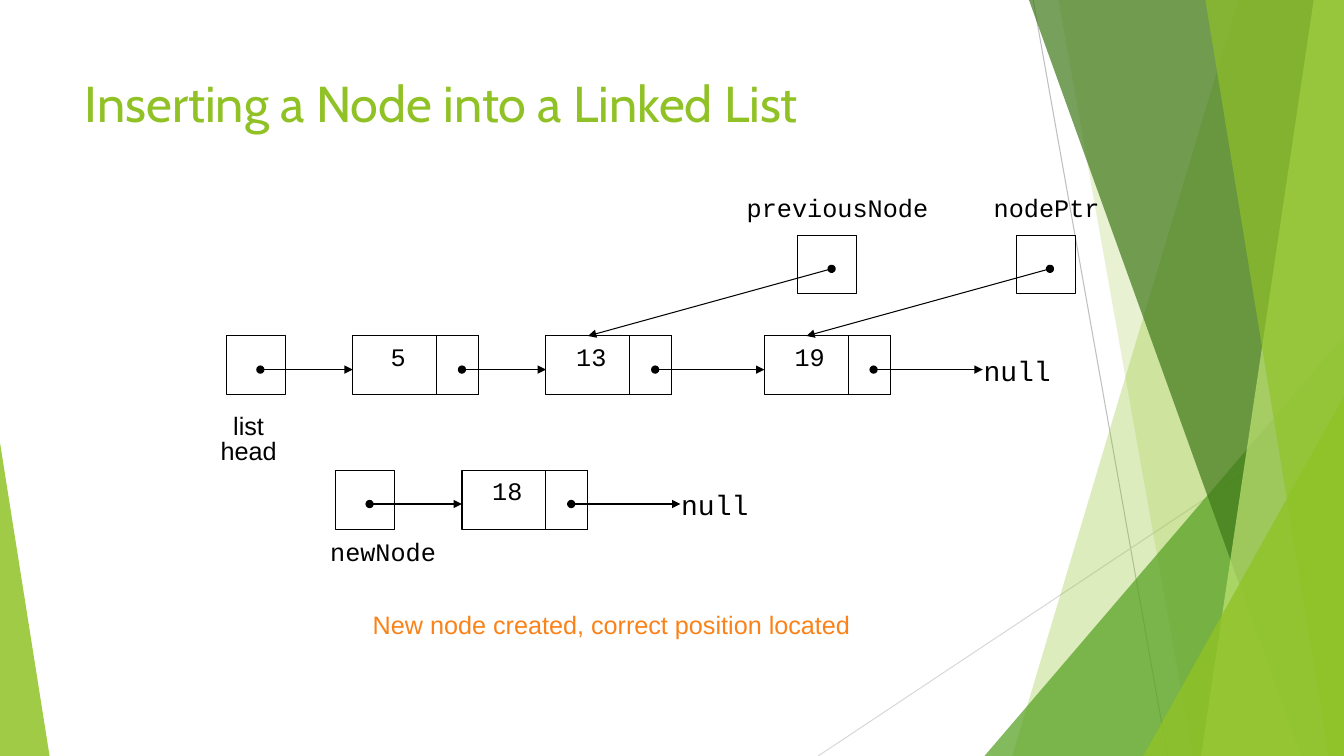
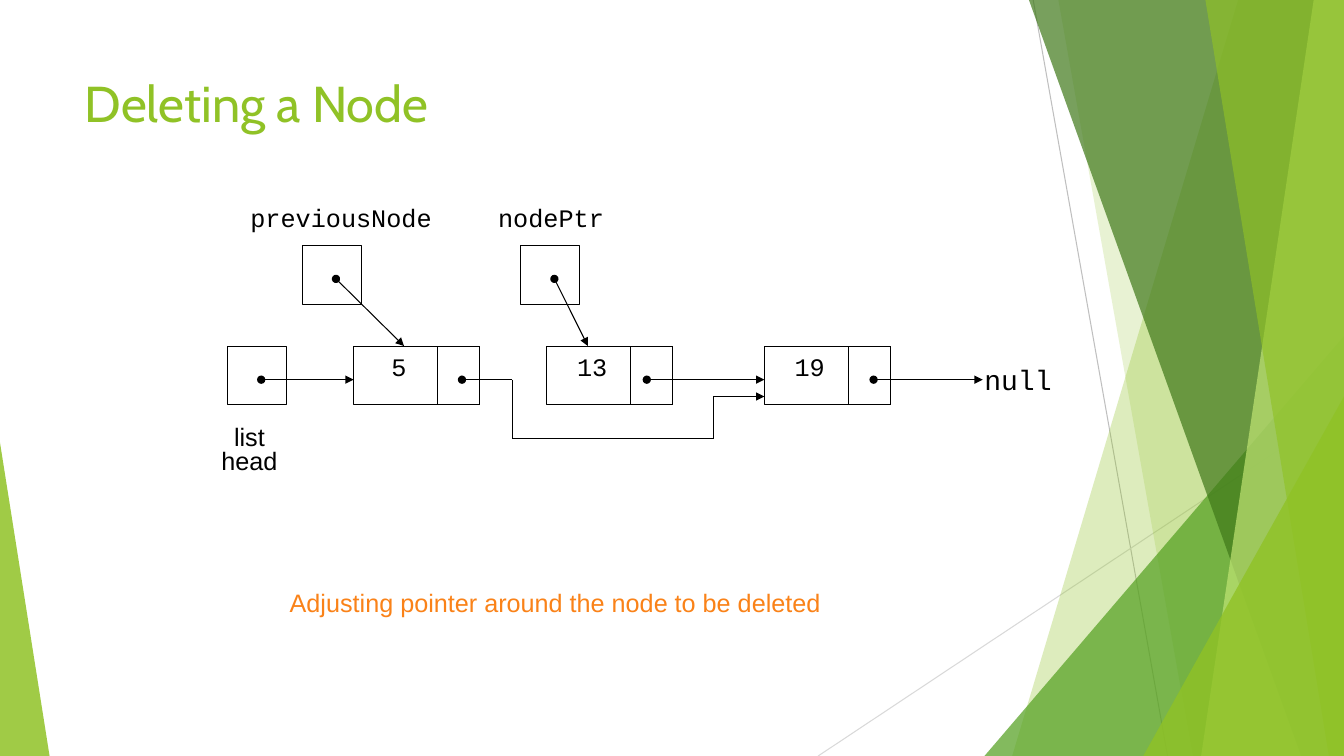
"""Build two linked-list slides on a grid of 160 columns by 90 rows."""
from lxml import etree
from pptx import Presentation
from pptx.dml.color import RGBColor
from pptx.enum.shapes import MSO_CONNECTOR, MSO_SHAPE
from pptx.enum.text import MSO_ANCHOR, MSO_AUTO_SIZE, PP_ALIGN
from pptx.oxml.ns import qn
from pptx.util import Pt

RECT, WEDGE = MSO_SHAPE.RECTANGLE, MSO_SHAPE.ISOSCELES_TRIANGLE
LINE = MSO_CONNECTOR.STRAIGHT
LEFT, MID = PP_ALIGN.LEFT, PP_ALIGN.CENTER
TOP, FIXED = MSO_ANCHOR.TOP, MSO_AUTO_SIZE.NONE
CELL, COLS, ROWS = 76200, 160, 90
LIME, LEAF, PINE, MINT = "90C226", "54A021", "3F7819", "C0E474"
BLACK, AMBER = "000000", "FA8218"
BOTH = ("oval", "triangle")
hue = RGBColor.from_string


def grid(*cells):
    """Turn grid cells into whole slide units."""
    return [round(cell * CELL) for cell in cells]


def link(slide, ends, color=BLACK, head=None, tail=None):
    """Draw a line with optional end marks."""
    line = slide.shapes.add_connector(LINE, *grid(*ends))
    line.line.color.rgb = hue(color)
    line.line.width = Pt(0.75)
    prop = line.element.spPr
    for tag, kind in (("a:headEnd", head), ("a:tailEnd", tail)):
        if kind:
            etree.SubElement(prop.find(qn("a:ln")), qn(tag), type=kind)
    etree.SubElement(prop, qn("a:effectLst"))


deck = Presentation()
deck.slide_width, deck.slide_height = grid(COLS, ROWS)
plan = deck.slide_layouts[5]
for hold in list(plan.placeholders):
    if hold.placeholder_format.idx:
        hold.element.getparent().remove(hold.element)
    else:
        hold.left, hold.top, hold.width, hold.height = grid(8.9, 8, 112.8, 17.3)

first = deck.slides.add_slide(plan)
link(first, (123, 0, 139, ROWS), "BFBFBF")
link(first, (COLS, 48.4, 97.4, ROWS), "D9D9D9")
BANDS = [
    ("strip", (147.4, 120.5), LIME, 30),
    ("strip", (126, 142), LIME, 20),
    ("wedge", (117.2, 40, 42.8, 1), LEAF, 72),
    ("strip", (122.5, 154.9), PINE, 70),
    ("strip", (156.4, 143), MINT, 70),
    ("strip", (143.5, 158.2), LIME, 65),
    ("wedge", (136.1, 47.2, 23.9, 1), LIME, 80),
    ("wedge", (0, 52.7, 5.9, 0), LIME, 85),
]
for kind, size, color, alpha in BANDS:
    if kind == "strip":
        top, base = size
        path = first.shapes.build_freeform(*grid(top, 0), scale=1.0)
        corners = ((COLS, 0), (COLS, ROWS), (base, ROWS))
        path.add_line_segments([grid(*spot) for spot in corners], close=True)
        band = path.convert_to_shape()
    else:
        x, y, wide, peak = size
        band = first.shapes.add_shape(WEDGE, *grid(x, y, wide, ROWS - y))
        band.adjustments[0] = peak
    band.shadow.inherit = False
    band.fill.solid()
    band.fill.fore_color.rgb = hue(color)
    band.line.fill.background()
    tint = band.element.spPr.find(".//" + qn("a:srgbClr"))
    etree.SubElement(tint, qn("a:alpha"), val=str(alpha * 1000))
for part in list(first.shapes):
    if not part.is_placeholder:
        plan.shapes.element.append(part.element)

STYLES = {
    "data": dict(font="Courier New", size=18, color=BLACK, gap=1, high=4.8),
    "name": dict(font="Courier New", size=18, color=BLACK, gap=0.8, high=4.3),
    "null": dict(font="Courier New", size=20, color=BLACK, gap=1.2, high=6),
    "head": dict(font="Arial", size=18, color=BLACK, gap=0.8, high=7.1, wide=9.1),
    "made": dict(font="Arial", size=18, color=AMBER, gap=1, high=4.8, wide=59.8),
    "skip": dict(font="Arial", size=18, color=AMBER, gap=0.8, high=4.1, wide=66.2),
}
PAGES = [
    dict(
        title="Inserting a Node into a Linked List", row=40,
        nodes=[("5", 42, 0), ("13", 65, 0), ("19", 91, 0), ("18", 55, 16)],
        boxes=[(27, 0, 42, 4), (40, 16, 55, 20), (95, -12, 70, 0), (121, -12, 96, 0)],
        arrows=[(55, 4, 65), (78, 4, 91), (104, 4, 117), (68, 20, 81)],
        bend=[],
        notes=[
            ("null", "null", 121.1, 0.7), ("null", "null", 85.1, 16.7),
            ("list\nhead", "head", 29.6, 9), ("newNode", "name", 45.6, 24),
            ("previousNode", "name", 99.7, -17), ("nodePtr", "name", 124.6, -17),
            ("New node created, correct position located", "made", 72.8, 32),
        ],
    ),
    dict(
        title="Deleting a Node", row=41.2,
        nodes=[("5", 42.1, 0), ("13", 65.1, 0), ("19", 91, 0)],
        boxes=[(27.1, 0, 42.1, 4), (36, -12, 48.1, 0), (62, -12, 70, 0)],
        arrows=[(77, 4, 91), (104, 4, 117)],
        bend=[(55, 4), (61, 4), (61, 11), (85, 11), (85, 6), (91, 6)],
        notes=[
            ("null", "null", 121.2, 0.6), ("list\nhead", "head", 29.7, 9),
            ("previousNode", "name", 40.6, -17), ("nodePtr", "name", 65.6, -17),
            ("Adjusting pointer around the node to be deleted", "skip", 66.1, 28.8),
        ],
    ),
]

for page in PAGES:
    slide = first if page is PAGES[0] else deck.slides.add_slide(plan)
    row = page["row"]
    frame = slide.shapes.title.text_frame
    frame.text = page["title"]
    for key, value in dict(vertical_anchor=TOP, auto_size=FIXED, word_wrap=True).items():
        setattr(frame, key, value)
    para = frame.paragraphs[0]
    para.alignment = LEFT
    for key, value in dict(name="Cabin", size=Pt(36)).items():
        setattr(para.font, key, value)
    para.font.color.rgb = hue(LIME)

    rects = [(x, y, 7) for x, y, *_ in page["boxes"]]
    for _, x, y in page["nodes"]:
        rects += [(x, y, 15), (x + 10, y, 5)]
    for x, y, wide in rects:
        rect = slide.shapes.add_shape(RECT, *grid(x, row + y, wide, 7))
        rect.shadow.inherit = False
        rect.fill.background()
        rect.line.color.rgb = hue(BLACK)
        rect.line.width = Pt(0.75)

    lines = [(x + 4, y + 4, to, end) for x, y, to, end in page["boxes"]]
    lines += [(x, y, to, y) for x, y, to in page["arrows"]]
    for x, y, to, end in lines:
        link(slide, (x, row + y, to, row + end), BLACK, *BOTH)
    steps = list(zip(page["bend"], page["bend"][1:]))
    for i, ((x, y), (to, end)) in enumerate(steps):
        head = "oval" if i == 0 else None
        tail = "triangle" if i == len(steps) - 1 else None
        link(slide, (x, row + y, to, row + end), BLACK, head, tail)

    notes = [(text, "data", x + 5.4, y) for text, x, y in page["nodes"]]
    for text, kind, mid, y in notes + page["notes"]:
        style = STYLES[kind]
        wide = style.get("wide", len(text) * style["size"] / 10 + 2.4)
        place = grid(mid - wide / 2, row + y, wide, style["high"])
        frame = slide.shapes.add_textbox(*place).text_frame
        frame.word_wrap = False
        frame.text = text
        for para in frame.paragraphs:
            para.alignment = MID
            para.line_spacing = style["gap"]
            for key, value in dict(name=style["font"], size=Pt(style["size"])).items():
                setattr(para.font, key, value)
            para.font.color.rgb = hue(style["color"])

deck.save("out.pptx")
